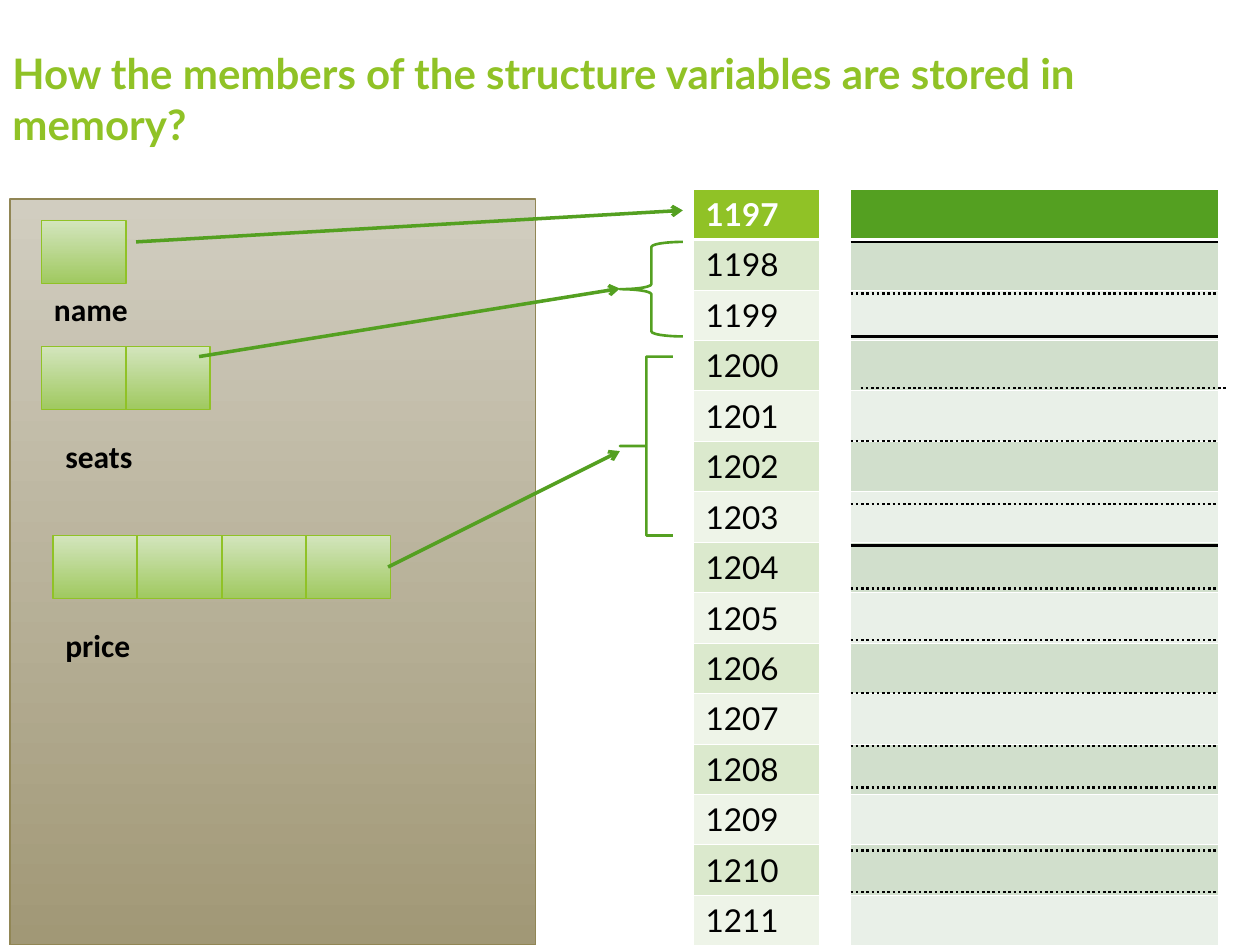
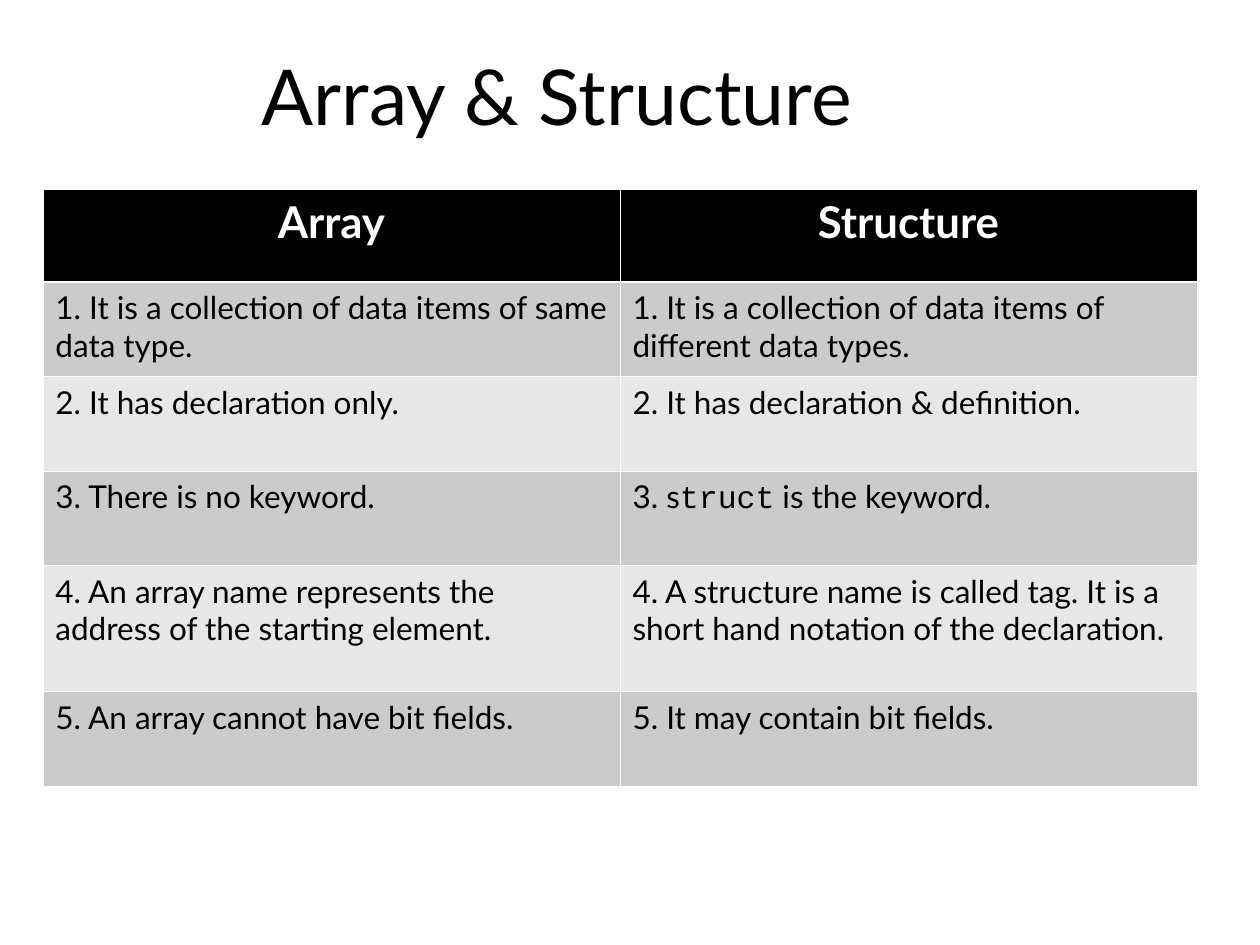
import pptx
import pptx.util
import pptx.dml.color
import pptx.enum.dml
import pptx.enum.shapes
import pptx.enum.text
import pptx.oxml
import pptx.oxml.ns

Inches = pptx.util.Inches
Pt = pptx.util.Pt
RGBColor = pptx.dml.color.RGBColor
SHAPE = pptx.enum.shapes.MSO_SHAPE
CENTER = pptx.enum.text.PP_ALIGN.CENTER

WHITE = RGBColor(0xFF, 0xFF, 0xFF)
BLACK = RGBColor(0x00, 0x00, 0x00)
LIME = RGBColor(0x90, 0xC2, 0x26)
GREEN = RGBColor(0x54, 0xA0, 0x21)
LIME_BANDS = (RGBColor(0xDB, 0xE9, 0xCD), RGBColor(0xEE, 0xF4, 0xE8))
GREEN_BANDS = (RGBColor(0xD1, 0xDF, 0xCC), RGBColor(0xE9, 0xF0, 0xE8))
GREY_BANDS = (RGBColor(0xCB, 0xCB, 0xCB), RGBColor(0xE7, 0xE7, 0xE7))
PANEL_GRADIENT = (RGBColor(0xD1, 0xCD, 0xC0), RGBColor(0xA1, 0x98, 0x76))
PANEL_EDGE = RGBColor(0x91, 0x86, 0x55)
BYTE_GRADIENT = (RGBColor(0xD3, 0xE5, 0xBD), RGBColor(0xA0, 0xC9, 0x60))

DRAWING_NS = pptx.oxml.ns.nsdecls("a")
BODY_FONT = "Lato"


def add_banded_table(slide, left, top, col_width, heights, rows, header_fill, bands,
                     header_size=18, header_align=None):
    """Add a table with a coloured header, alternating bands and white rules."""
    columns = len(rows[0])
    table = slide.shapes.add_table(
        len(rows), columns, Inches(left), Inches(top),
        Inches(col_width * columns), Inches(sum(heights))).table
    table.first_row = table.horz_banding = False
    for column in table.columns:
        column.width = Inches(col_width)
    for r, (texts, height) in enumerate(zip(rows, heights)):
        table.rows[r].height = Inches(height)
        for c, text in enumerate(texts):
            cell = table.cell(r, c)
            thick_side = {0: "B", 1: "T"}.get(r)
            for side in "LRTB":
                width = Pt(1.47 if side == thick_side else 0.45)
                cell._tc.get_or_add_tcPr().append(pptx.oxml.parse_xml(
                    f'<a:ln{side} {DRAWING_NS} w="{width}"><a:solidFill>'
                    f'<a:srgbClr val="{WHITE}"/></a:solidFill></a:ln{side}>'))
            cell.fill.solid()
            cell.fill.fore_color.rgb = bands[(r - 1) % 2] if r else header_fill
            if not text:
                continue
            cell.text_frame.text = text
            paragraph = cell.text_frame.paragraphs[0]
            if r == 0:
                paragraph.alignment = header_align
            font = paragraph.runs[0].font
            font.name = BODY_FONT
            font.size = Pt(18 if r else header_size)
            font.bold = r == 0
            font.color.rgb = BLACK if r else WHITE
    return table


def add_line(slide, start, end, color, width, dotted=False, arrow=False):
    line = slide.shapes.add_connector(
        pptx.enum.shapes.MSO_CONNECTOR.STRAIGHT, *map(Inches, start + end))
    line.line.color.rgb = color
    line.line.width = Pt(width)
    if dotted:
        line.line.dash_style = pptx.enum.dml.MSO_LINE.ROUND_DOT
    if arrow:
        line.line._get_or_add_ln().append(
            pptx.oxml.parse_xml(f'<a:tailEnd {DRAWING_NS} type="arrow"/>'))
    line._element.spPr.append(pptx.oxml.parse_xml(f"<a:effectLst {DRAWING_NS}/>"))


presentation = pptx.Presentation()
presentation.slide_width = Inches(10)
presentation.slide_height = Inches(7.5)
blank = presentation.slide_layouts[6]
memory_slide = presentation.slides.add_slide(blank)
comparison_slide = presentation.slides.add_slide(blank)

# Titles and member labels: slide, place, text, font, size, bold, colour
texts = [
    (memory_slide, (0, 0.33, 9.67, 1.3),
     "How the members of the structure variables are stored in memory?",
     BODY_FONT, 24, True, LIME),
    (comparison_slide, (0, 0.25, 9, 1), "Array & Structure ", BODY_FONT, 44, False, BLACK),
]

# Slide 1: memory addresses
addresses = [[str(address)] for address in range(1197, 1212)]
address_heights = [0.4] * len(addresses)
add_banded_table(memory_slide, 5.5, 1.5, 1, address_heights, addresses, LIME, LIME_BANDS)

# Structure panel with one gradient box for each byte of a member
members = [
    ("name", 1, (0.33, 1.75), (0.33, 2.25, 1, 0.4)),
    ("seats", 2, (0.33, 2.75), (0.42, 3.42, 0.75, 0.4)),
    ("price", 4, (0.42, 4.25), (0.42, 4.92, 0.75, 0.4)),
]
BYTE_WIDTH, BYTE_HEIGHT = 0.67, 0.5
boxes = [((0.08, 1.58, 4.17, 5.92), PANEL_GRADIENT, PANEL_EDGE)]
for member, size, (left, top), label_place in members:
    for byte in range(size):
        place = (left + byte * BYTE_WIDTH, top, BYTE_WIDTH, BYTE_HEIGHT)
        boxes.append((place, BYTE_GRADIENT, LIME))
    texts.append((memory_slide, label_place, member, "Calibri", 18, True, BLACK))

for place, gradient, edge in boxes:
    box = memory_slide.shapes.add_shape(SHAPE.RECTANGLE, *map(Inches, place))
    box.shadow.inherit = False
    box.fill.gradient()
    box.fill.gradient_angle = 270
    for stop, color, position in zip(box.fill.gradient_stops, gradient, (0, 1)):
        stop.color.rgb = color
        stop.position = position
    box.line.color.rgb = edge
    box.line.width = Pt(1)

for slide, place, text, font_name, size, bold, color in texts:
    text_box = slide.shapes.add_textbox(*map(Inches, place))
    frame = text_box.text_frame
    frame.word_wrap = True
    frame.text = text
    if slide is comparison_slide:
        frame.vertical_anchor = pptx.enum.text.MSO_ANCHOR.MIDDLE
        frame.paragraphs[0].alignment = CENTER
    font = frame.paragraphs[0].runs[0].font
    font.name = font_name
    font.size = Pt(size)
    font.bold = bold
    font.color.rgb = color

# Memory cells: solid lines end a member, dotted lines separate bytes
MEMORY_LEFT, MEMORY_WIDTH = 6.75, 2.92
add_banded_table(memory_slide, MEMORY_LEFT, 1.5, MEMORY_WIDTH, address_heights,
                 [[""] for _ in addresses], GREEN, GREEN_BANDS)
member_ends = (1.92, 2.67, 4.33)
byte_ends = (2.33, 3.08, 3.5, 4, 4.67, 5.08, 5.5, 5.92, 6.25, 6.75, 7.08)
for y in member_ends + byte_ends:
    left = 6.83 if y == 3.08 else MEMORY_LEFT
    add_line(memory_slide, (left, y), (left + MEMORY_WIDTH, y), BLACK, 1.5,
             dotted=y in byte_ends)

# Arrows from members to their addresses
for start, end in [((1.08, 1.92), (5.42, 1.67)),
                   ((1.58, 2.83), (4.92, 2.29)),
                   ((3.08, 4.5), (4.92, 3.58))]:
    add_line(memory_slide, start, end, GREEN, 2, arrow=True)

for place, curl in [((4.92, 1.92, 0.5, 0.75), 0.08), ((4.92, 2.83, 0.42, 1.42), 0)]:
    brace = memory_slide.shapes.add_shape(SHAPE.LEFT_BRACE, *map(Inches, place))
    brace.adjustments[0] = curl
    brace.shadow.inherit = False
    brace.fill.background()
    brace.line.color.rgb = GREEN
    brace.line.width = Pt(1.5)

# Slide 2: comparison table
comparison = [
    ("Array", "Structure"),
    ("1. It is a collection of data items of same data type.",
     "1. It is a collection of data items of different data types."),
    ("2. It has declaration only.", "2. It has declaration & definition."),
    ("3. There is no keyword.", "3. s"),
    ("4. An array name represents the address of the starting element.",
     "4. A structure name is called tag. It is a short hand notation of the declaration."),
    ("5. An array cannot have bit fields.", "5. It may contain bit fields."),
]
comparison_table = add_banded_table(
    comparison_slide, 0.34, 1.5, 4.58, (0.74, 0.75, 0.75, 0.75, 1, 0.75), comparison,
    BLACK, GREY_BANDS, header_size=25, header_align=CENTER)

keyword_paragraph = comparison_table.cell(3, 1).text_frame.paragraphs[0]
for text, font_name in (("truct", "Courier New"), (" is the keyword.", BODY_FONT)):
    run = keyword_paragraph.add_run()
    run.text = text
    run.font.name = font_name
    run.font.size = Pt(18)
    run.font.color.rgb = BLACK

presentation.save("out.pptx")
